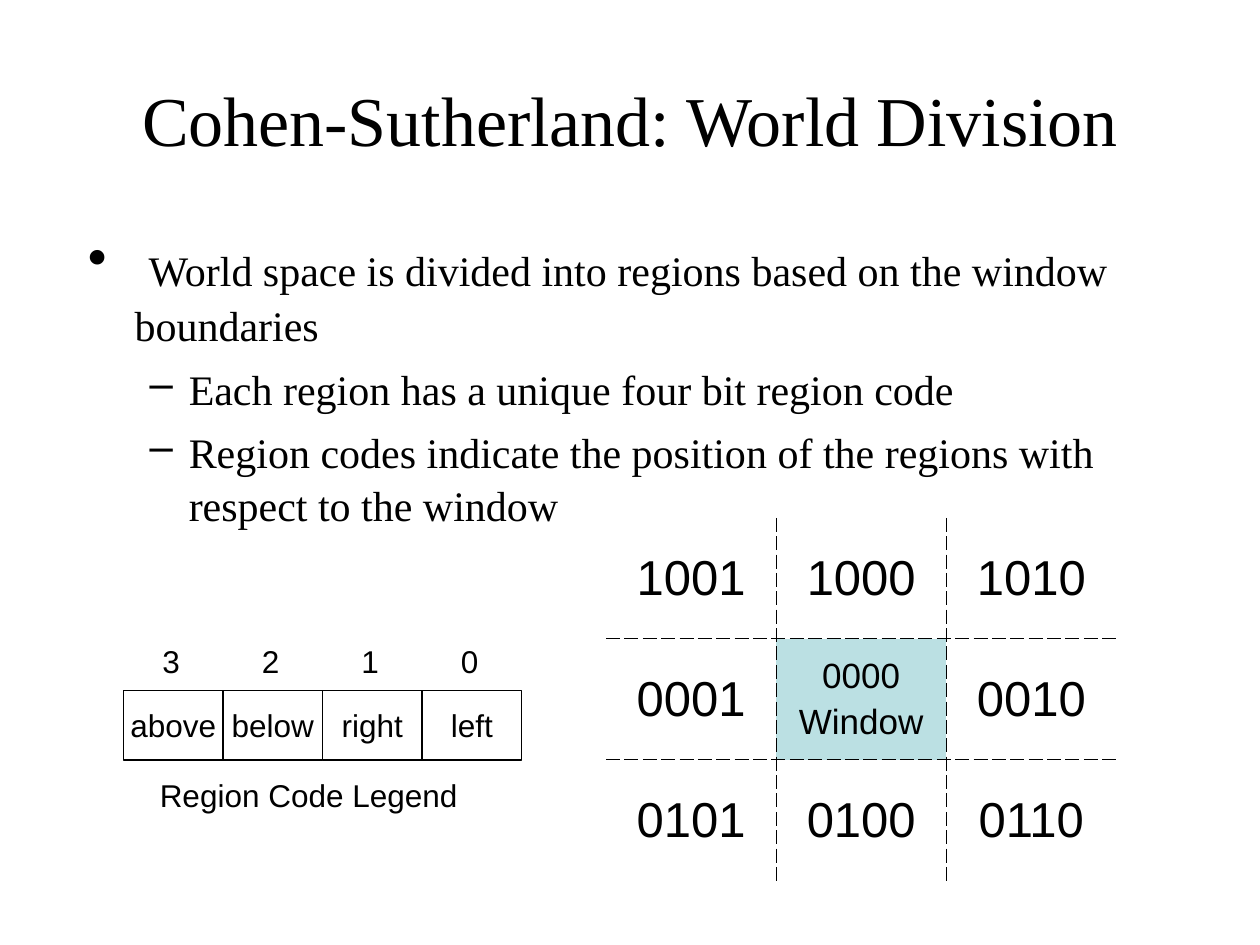
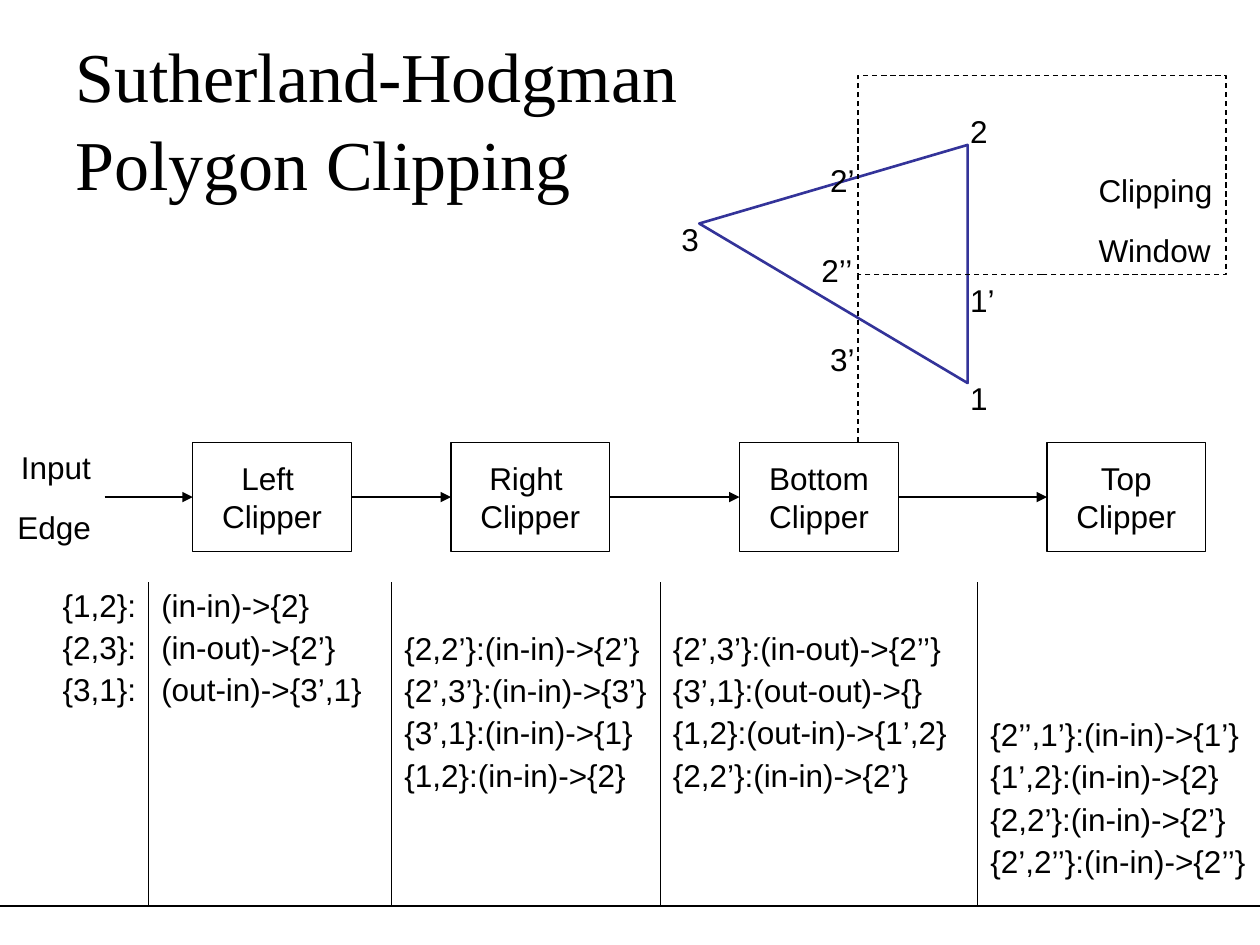
from lxml import etree
from pptx import Presentation
from pptx.dml.color import RGBColor
from pptx.enum.dml import MSO_LINE
from pptx.enum.shapes import MSO_CONNECTOR, MSO_SHAPE
from pptx.enum.text import MSO_ANCHOR, PP_ALIGN
from pptx.oxml.ns import qn
from pptx.util import Inches, Pt

COLORS = {"ink": "000000", "window": "BBE0E3", "polygon": "333399"}
SANS, SERIF = "Arial", "Times New Roman"
LEFT, CENTER, RIGHT = PP_ALIGN.LEFT, PP_ALIGN.CENTER, PP_ALIGN.RIGHT
TOP, MIDDLE = MSO_ANCHOR.TOP, MSO_ANCHOR.MIDDLE
DASH = MSO_LINE.DASH
RECT, TRIANGLE = MSO_SHAPE.RECTANGLE, MSO_SHAPE.ISOSCELES_TRIANGLE
STRAIGHT = MSO_CONNECTOR.STRAIGHT
PLAIN_TABLE = "{2D5ABB26-0587-4C30-8999-92F81FD0307C}"
SIDES = {"l": "a:lnL", "r": "a:lnR", "t": "a:lnT", "b": "a:lnB"}


def color(name):
    return RGBColor.from_string(COLORS[name])


def child(parent, tag, **attrs):
    return etree.SubElement(parent, qn(tag), attrs)


def write(frame, lines, size=18, face=SANS, align=LEFT, gap=0, spacing=None):
    """Fill a text frame; a line is a string or a list of (text, size) runs."""
    for num, line in enumerate(lines):
        para = frame.add_paragraph() if num else frame.paragraphs[0]
        para.alignment = align
        para.line_spacing = spacing
        if num:
            para.space_before = Pt(gap)
        runs = [(line, size)] if isinstance(line, str) else line
        for text, points in runs:
            first, *rest = text.split("\v")
            for part in [first, *rest]:
                if part is not first:
                    para.add_line_break()
                run = para.add_run()
                run.text = part
                run.font.size = Pt(points)
                run.font.name = face
                run.font.color.rgb = color("ink")


def bullet(para, mark, left, hang):
    props = para._p.get_or_add_pPr()
    props.set("marL", str(Inches(left)))
    props.set("indent", str(-Inches(hang)))
    child(props, "a:buChar", char=mark)


def border(cell, sides, width, dash="solid"):
    """Draw the named sides, given in the order l, r, t, b."""
    props = cell._tc.get_or_add_tcPr()
    for num, side in enumerate(sides):
        line = etree.Element(qn(SIDES[side]), w=str(Pt(width)))
        fill = child(line, "a:solidFill")
        child(fill, "a:srgbClr", val=COLORS["ink"])
        child(line, "a:prstDash", val=dash)
        props.insert(num, line)


class Deck:
    def __init__(self):
        self.file = Presentation()
        self.file.slide_width, self.file.slide_height = Inches(10), Inches(7.5)
        self.slide = None

    def page(self, title, align):
        self.slide = self.file.slides.add_slide(self.file.slide_layouts[6])
        self.text([title], 0.5, 0.3, 9, 1.25, anchor=MIDDLE, size=40,
                  face=SERIF, align=align, spacing=1.05)

    def text(self, lines, x, y, w, h, anchor=TOP, wrap=True, **style):
        box = self.slide.shapes.add_textbox(*map(Inches, (x, y, w, h)))
        box.text_frame.word_wrap = wrap
        box.text_frame.vertical_anchor = anchor
        write(box.text_frame, lines, **style)
        return box

    def stroke(self, line, width, dash=None, ink="ink"):
        line.color.rgb = color(ink)
        line.width = Pt(width)
        line.dash_style = dash

    def shape(self, kind, x, y, w, h, lines=(), width=0.75, dash=None, ink="ink"):
        item = self.slide.shapes.add_shape(kind, *map(Inches, (x, y, w, h)))
        item.shadow.inherit = False
        item.fill.background()
        self.stroke(item.line, width, dash, ink)
        item.text_frame.word_wrap = False
        item.text_frame.vertical_anchor = MIDDLE
        write(item.text_frame, lines, align=CENTER)
        return item

    def line(self, x1, y1, x2, y2, dash=None, arrow=False):
        item = self.slide.shapes.add_connector(
            STRAIGHT, *map(Inches, (x1, y1, x2, y2)))
        self.stroke(item.line, 0.75, dash)
        if arrow:
            child(item.line._get_or_add_ln(), "a:tailEnd", type="triangle")
        child(item._element.spPr, "a:effectLst")
        return item

    def table(self, x, y, cols, rows):
        frame = self.slide.shapes.add_table(
            len(rows), len(cols), Inches(x), Inches(y),
            Inches(sum(cols)), Inches(sum(rows)))
        grid = frame.table
        grid.first_row = grid.horz_banding = False
        grid._tbl.tblPr.find(qn("a:tableStyleId")).text = PLAIN_TABLE
        for col, width in zip(grid.columns, cols):
            col.width = Inches(width)
        for row, height in zip(grid.rows, rows):
            row.height = Inches(height)
        for cell in grid.iter_cells():
            cell.fill.background()
        return grid


def regions(deck):
    codes = [["1001", "1000", "1010"],
             ["0001", "0000", "0010"],
             ["0101", "0100", "0110"]]
    grid = deck.table(4.81, 4.11, [1.35] * 3, [0.96] * 3)
    for r, row in enumerate(codes):
        for c, code in enumerate(row):
            cell = grid.cell(r, c)
            cell.vertical_anchor = MIDDLE
            if r == c == 1:
                cell.fill.solid()
                cell.fill.fore_color.rgb = color("window")
                write(cell.text_frame, [code, "Window"], size=20,
                      align=CENTER, gap=4)
            else:
                write(cell.text_frame, [code], size=28, align=CENTER)
            inner = {"l": c > 0, "r": c < 2, "t": r > 0, "b": r < 2}
            border(cell, [side for side in inner if inner[side]], 0.45, "dash")


def legend(deck):
    side = 0.79
    for num, name in enumerate(["above", "below", "right", "left"]):
        x = 0.98 + num * side
        deck.shape(RECT, x, 5.48, side, 0.55, [name], width=1)
        deck.text([str(3 - num)], x + 0.21, 5.05, 0.34, 0.4, wrap=False)
    deck.text(["Region Code Legend"], 1.17, 6.11, 2.56, 0.4, wrap=False)


def division(deck):
    deck.page("Cohen-Sutherland: World Division", CENTER)
    body = deck.text([
        [(" ", 32), ("World space is divided into regions based on the window "
                     "boundaries", 24)],
        "Each region has a unique four bit region code",
        "Region codes indicate the position of the regions with respect to "
        "the window",
    ], 0.5, 1.75, 9, 4.95, size=24, face=SERIF, gap=6, spacing=1.05)
    first, *rest = body.text_frame.paragraphs
    bullet(first, "•", 0.47, 0.37)
    for para in rest:
        bullet(para, "–", 0.9, 0.31)
    regions(deck)
    legend(deck)


def polygon(deck):
    shape = deck.shape(TRIANGLE, 5.67, 1.03, 1.89, 2.13, width=1.5, ink="polygon")
    shape.adjustments[0] = 0.67
    shape.rotation = 270
    deck.shape(RECT, 6.81, 0.6, 2.92, 1.58, dash=DASH)
    deck.line(6.81, 2.18, 6.81, 3.51, dash=DASH)
    points = [("2", 7.6, 0.84), ("2’", 6.49, 1.23), ("2’’", 6.42, 1.94),
              ("1", 7.6, 2.96), ("1’", 7.6, 2.18), ("3", 5.31, 1.7),
              ("3’", 6.49, 2.65)]
    for name, x, y in points:
        deck.text([name], x, y, 0.55, 0.4)
    deck.text(["Clipping", "Window"], 8.62, 1.31, 1.18, 0.86, gap=12.5)


def pipeline(deck):
    top, wide, high = 3.51, 1.26, 0.87
    mid = top + high / 2
    deck.text(["Input", "Edge"], -0.2, top, 1.02, 0.86, align=RIGHT, gap=12.5)
    last, start = None, 0.83
    stages = [("Left ", 1.53), ("Right ", 3.58), ("Bottom", 5.87), ("Top", 8.31)]
    for name, x in stages:
        box = deck.shape(RECT, x, top, wide, high, [name, "Clipper"])
        arrow = deck.line(start, mid, x, mid, arrow=True)
        if last:
            arrow.begin_connect(last, 3)
        arrow.end_connect(box, 1)
        last, start = box, x + wide


def trace(deck):
    """Table of edges; each column starts on the row where its stage does."""
    step = 0.343
    cols = [
        (1.18, 0, ["{1,2}:", "{2,3}:", "{3,1}:"]),
        (1.93, 0, ["(in-in)->{2}", "(in-out)->{2’}", "(out-in)->{3’,1}"]),
        (2.13, 1, ["{2,2’}:(in-in)->{2’}", "{2’,3’}:(in-in)->{3’}",
                   "{3’,1}:(in-in)->{1}", "{1,2}:(in-in)->{2}"]),
        (2.52, 1, ["{2’,3’}:(in-out)->{2’’}", "{3’,1}:(out-out)->{}",
                   "{1,2}:(out-in)->{1’,2}", "{2,2’}:(in-in)->{2’}"]),
        (2.24, 3, ["{2’’,1’}:(in-in)->{1’}", "{1’,2}:(in-in)->{2}",
                   "{2,2’}:(in-in)->{2’}", "{2’,2’’}:(in-in)->{2’’}"]),
    ]
    grid = deck.table(0, 4.62, [col[0] for col in cols], [2.57])
    for num, (_, skip, lines) in enumerate(cols):
        cell = grid.cell(0, num)
        cell.margin_top = Inches(0.05 + skip * step)
        write(cell.text_frame, lines, align=LEFT if num else RIGHT, gap=4)
        border(cell, "b", 1.08)
        if num:
            border(cell, "l", 0.45)
        if num < len(cols) - 1:
            border(cell, "r", 0.45) if not num else border_after(cell)


def border_after(cell):
    border(cell, "r", 0.45)


def main():
    deck = Deck()
    division(deck)
    deck.page("Sutherland-Hodgman\vPolygon Clipping", LEFT)
    polygon(deck)
    pipeline(deck)
    trace(deck)
    deck.file.save("out.pptx")


if __name__ == "__main__":
    main()
